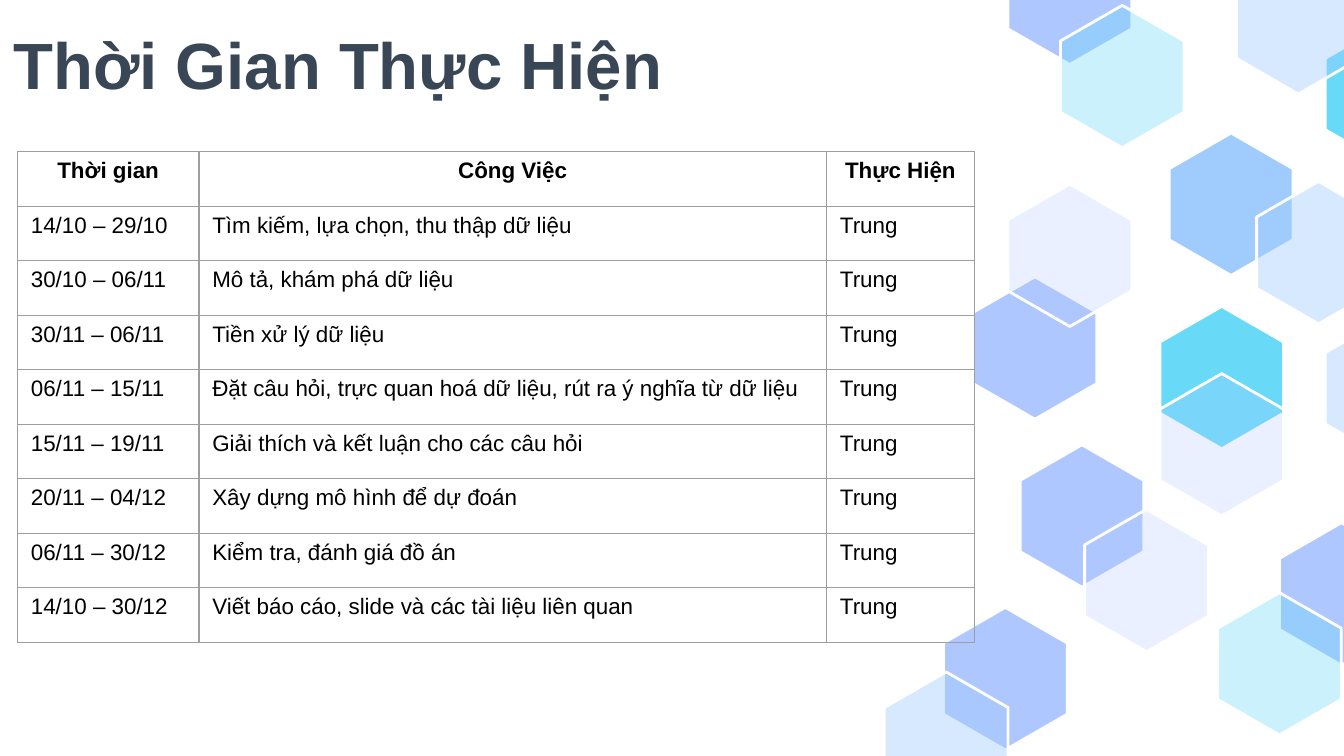
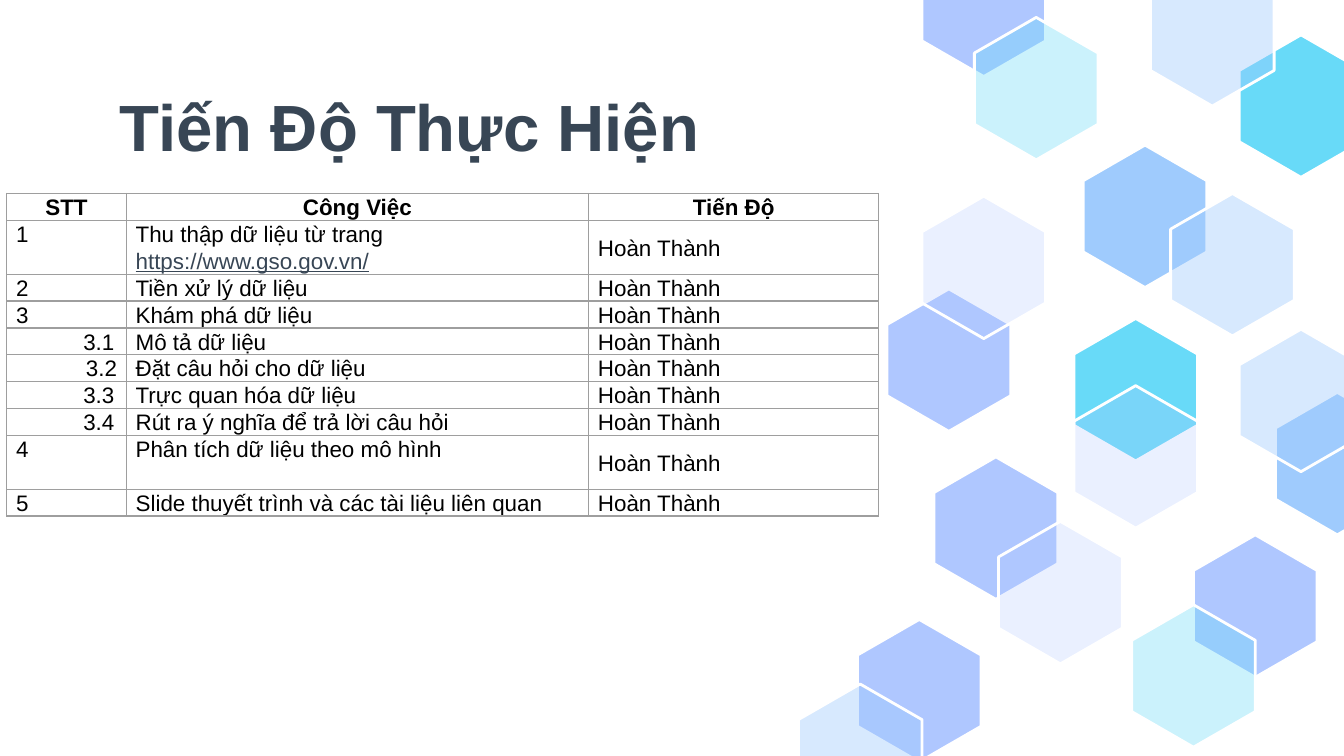
"""Build two schedule slides with a shared hexagon backdrop."""
from lxml.etree import SubElement
from pptx import Presentation
from pptx.dml.color import RGBColor
from pptx.enum.text import MSO_ANCHOR as Anchor, MSO_AUTO_SIZE as AutoSize, PP_ALIGN as Align
from pptx.oxml.ns import qn
from pptx.util import Emu, Inches, Pt

COLORS = {"title": "384655", "text": "000000", "border": "9E9E9E", "white": "FFFFFF",
          "sky": "9FCBFD", "lilac": "AFC7FF", "cyan": "68DAF8"}
FONT = "Arial"
HEX_WIDTH, HEX_HEIGHT = 0.92, 1.06
HEX_CORNERS = [(0.5, 0), (0, 0.25), (0, 0.75), (0.5, 1), (1, 0.75), (1, 0.25)]
HEXAGONS = [
    (8.7, 0.99, "sky", 100), (7.24, 2.06, "lilac", 100), (8.63, 2.28, "cyan", 100),
    (7.5, -0.58, "lilac", 100), (7.02, 4.52, "lilac", 100), (7.5, 1.37, "lilac", 25),
    (9.86, 0.17, "cyan", 100), (8.63, 2.78, "lilac", 25), (9.35, 1.35, "sky", 41),
    (7.59, 3.31, "lilac", 100), (8.07, 3.79, "lilac", 25), (6.58, 5, "sky", 41),
    (10.13, 2.83, "sky", 100), (9.86, 2.36, "sky", 41), (9.52, 3.89, "lilac", 100),
    (9.06, 4.41, "cyan", 34), (7.89, 0.04, "cyan", 34), (9.2, -0.36, "sky", 41),
]
SOURCE_LINK = "https://www.gso.gov.vn/"

schedule = [
    ("14/10 – 29/10", "Tìm kiếm, lựa chọn, thu thập dữ liệu"),
    ("30/10 – 06/11", "Mô tả, khám phá dữ liệu"),
    ("30/11 – 06/11", "Tiền xử lý dữ liệu"),
    ("06/11 – 15/11", "Đặt câu hỏi, trực quan hoá dữ liệu, rút ra ý nghĩa từ dữ liệu"),
    ("15/11 – 19/11", "Giải thích và kết luận cho các câu hỏi"),
    ("20/11 – 04/12", "Xây dựng mô hình để dự đoán"),
    ("06/11 – 30/12", "Kiểm tra, đánh giá đồ án"),
    ("14/10 – 30/12", "Viết báo cáo, slide và các tài liệu liên quan"),
]
progress = [
    ("1", "Thu thập dữ liệu từ trang " + SOURCE_LINK),
    ("2", "Tiền xử lý dữ liệu"),
    ("3", "Khám phá dữ liệu"),
    ("3.1", "Mô tả dữ liệu"),
    ("3.2", "Đặt câu hỏi cho dữ liệu"),
    ("3.3", "Trực quan hóa dữ liệu"),
    ("3.4", "Rút ra ý nghĩa để trả lời câu hỏi"),
    ("4", "Phân tích dữ liệu theo mô hình"),
    ("5", "Slide thuyết trình và các tài liệu liên quan"),
]
PAGES = [
    {"title": "Thời Gian Thực Hiện", "title_at": (0, 0.03), "shift": (0, 0),
     "header": ("Thời gian", "Công Việc", "Thực Hiện"), "tasks": schedule, "last": "Trung",
     "table_at": (0.13, 1.13), "columns": (1.35, 4.67, 1.1), "row": 3.65 / 9, "tall": (),
     "insets": (0.1, 0.05), "spacing": 1.0, "middle": False},
    {"title": "Tiến Độ Thực Hiện", "title_at": (0.79, 0.49), "shift": (-0.64, 0.09),
     "header": ("STT", "Công Việc", "Tiến Độ"), "tasks": progress, "last": "Hoàn Thành",
     "table_at": (0.05, 1.44), "columns": (0.89, 3.44, 2.16), "row": 0.2, "tall": ("1", "4"),
     "insets": (0.07, 0), "spacing": 1.07, "middle": True},
]


def style_font(font, color, **formats):
    for key, value in {"name": FONT, **formats}.items():
        setattr(font, key, value)
    font.color.rgb = RGBColor.from_string(COLORS[color])


def add_borders(cell):
    properties = cell._tc.get_or_add_tcPr()
    for side in ("lnL", "lnR", "lnT", "lnB"):
        line = SubElement(properties, qn("a:" + side), w=str(Pt(0.75)))
        fill = SubElement(line, qn("a:solidFill"))
        SubElement(fill, qn("a:srgbClr"), val=COLORS["border"])


deck = Presentation()
deck.slide_width = Inches(10)
deck.slide_height = Emu(deck.slide_width * 9 // 16)

for page in PAGES:
    slide = deck.slides.add_slide(deck.slide_layouts[5])
    title = slide.shapes.title
    title.left, title.top = map(Inches, page["title_at"])
    title.width, title.height = Inches(6.07), Inches(0.63)
    frame = title.text_frame
    frame.text = page["title"]
    for key, value in {"margin_left": Inches(0.1), "margin_right": Inches(0.1),
                       "margin_top": Inches(0.15), "margin_bottom": Inches(0.1),
                       "vertical_anchor": Anchor.TOP, "word_wrap": True,
                       "auto_size": AutoSize.NONE}.items():
        setattr(frame, key, value)
    frame.paragraphs[0].alignment = Align.LEFT
    style_font(frame.paragraphs[0].runs[0].font, "title", size=Pt(35), bold=True)

    backdrop = slide.shapes.add_group_shape()
    for base_left, base_top, color, opacity in HEXAGONS:
        left, top = base_left + page["shift"][0], base_top + page["shift"][1]
        if left >= 10:
            continue
        corners = [(Inches(left + x * HEX_WIDTH), Inches(top + y * HEX_HEIGHT))
                   for x, y in HEX_CORNERS]
        outline = backdrop.shapes.build_freeform(*corners[0])
        outline.add_line_segments(corners[1:], close=True)
        hexagon = outline.convert_to_shape()
        hexagon.shadow.inherit = False
        hexagon.fill.solid()
        hexagon.fill.fore_color.rgb = RGBColor.from_string(COLORS[color])
        hexagon.line.color.rgb = RGBColor.from_string(COLORS["white"])
        hexagon.line.width = Pt(1.5)
        if opacity < 100:
            tint = hexagon._element.spPr.find(qn("a:solidFill")).find(qn("a:srgbClr"))
            SubElement(tint, qn("a:alpha"), val=str(opacity * 1000))

    rows = [page["header"]] + [(*task, page["last"]) for task in page["tasks"]]
    heights = [page["row"] * (2 if row[0] in page["tall"] else 1) for row in rows]
    table = slide.shapes.add_table(
        len(rows), 3, *map(Inches, page["table_at"]),
        Inches(sum(page["columns"])), Inches(sum(heights))).table
    table.first_row = table.horz_banding = False
    for column, width in zip(table.columns, page["columns"]):
        column.width = Inches(width)

    side, edge = map(Inches, page["insets"])
    for r, (row, height) in enumerate(zip(rows, heights)):
        table.rows[r].height = Inches(height)
        for c, text in enumerate(row):
            cell = table.cell(r, c)
            add_borders(cell)
            cell.fill.background()
            cell.margin_left = cell.margin_right = side
            cell.margin_top = cell.margin_bottom = edge
            centred = page["middle"] and (r == 0 or c == 2)
            cell.vertical_anchor = Anchor.MIDDLE if centred else Anchor.TOP
            paragraph = cell.text_frame.paragraphs[0]
            paragraph.line_spacing = page["spacing"]
            paragraph.alignment = Align.CENTER if r == 0 else Align.LEFT
            if text == "3.2":
                paragraph.alignment = Align.RIGHT
            elif text.startswith("3."):
                paragraph._p.get_or_add_pPr().set("marL", str(Inches(0.5)))
            plain, link, _ = text.partition(SOURCE_LINK)
            for part, color in ((plain, "text"), (link, "title")):
                if part:
                    run = paragraph.add_run()
                    run.text = part
                    style_font(run.font, color, size=Pt(12), bold=r == 0,
                               underline=part == SOURCE_LINK)

deck.save("out.pptx")
